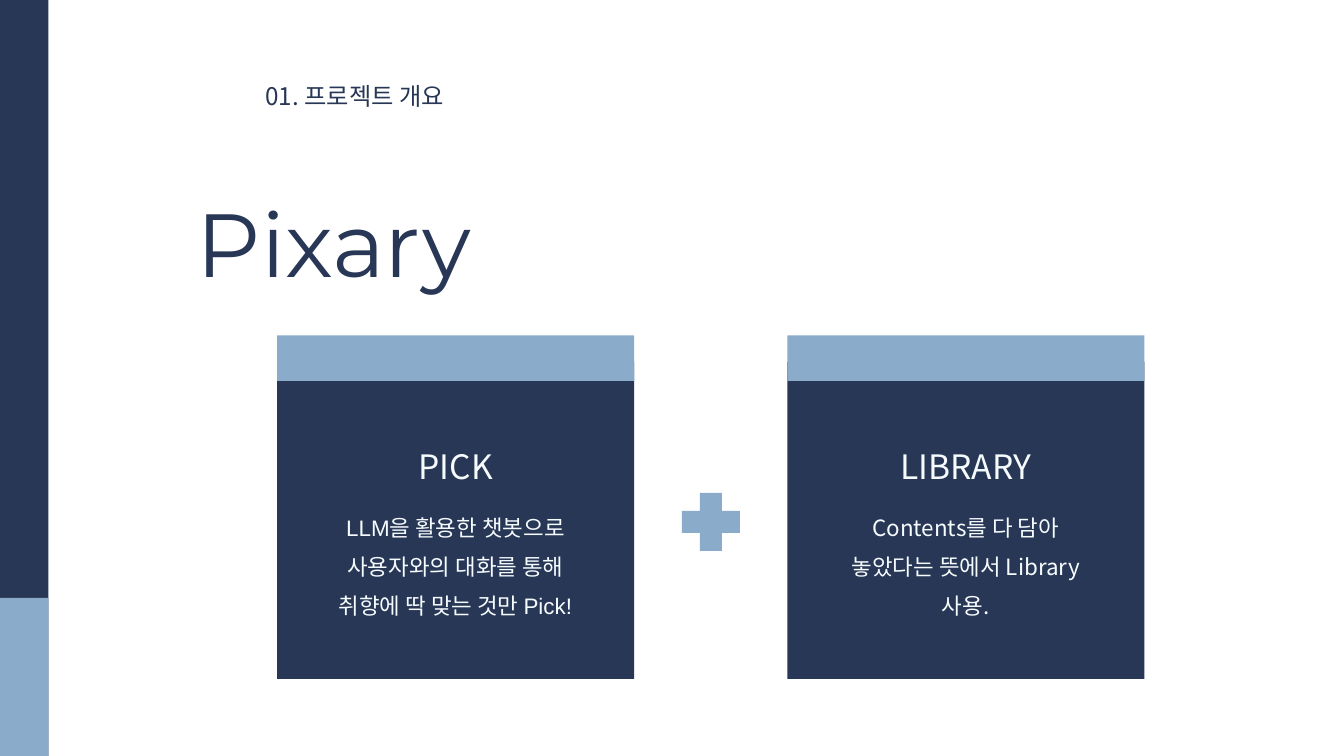
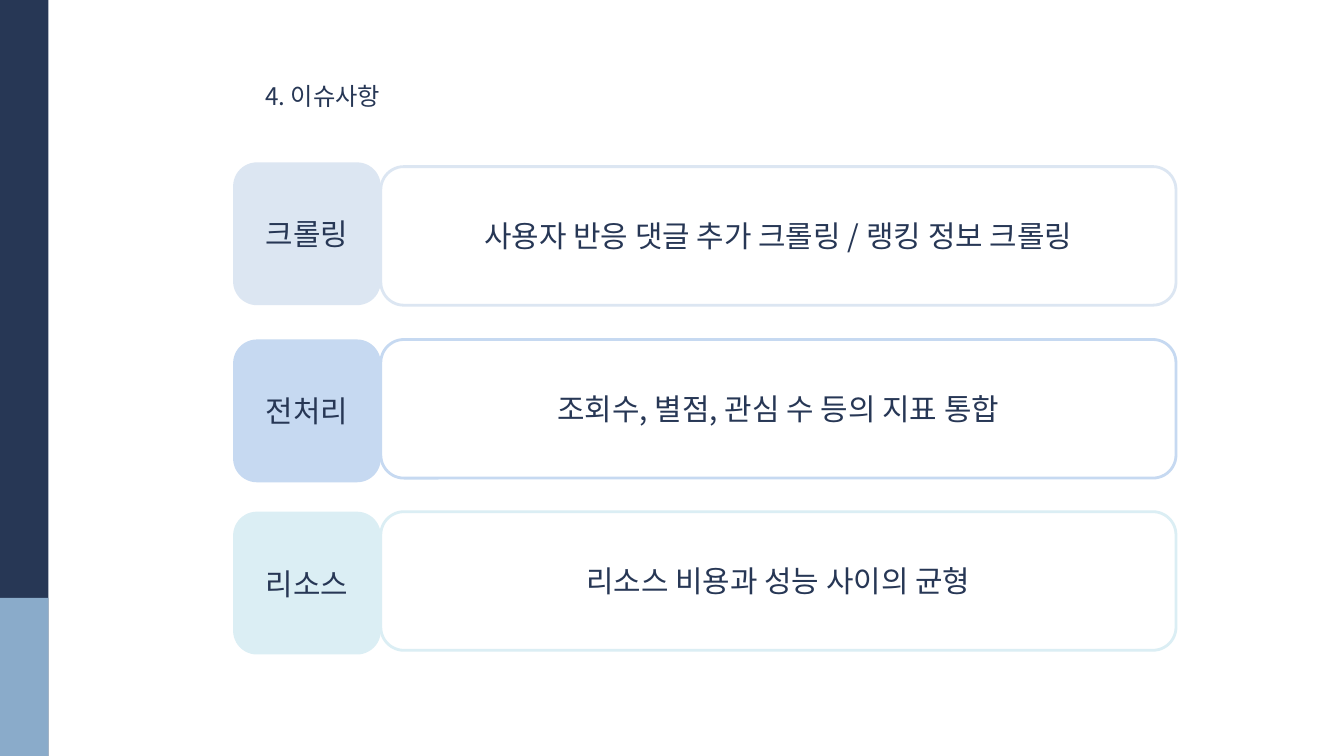
import pptx
import pptx.util
import pptx.dml.color
import pptx.enum.shapes
import pptx.enum.text
import pptx.oxml
import pptx.oxml.ns

Color = pptx.dml.color.RGBColor
Kind = pptx.enum.shapes.MSO_SHAPE
Align = pptx.enum.text.PP_ALIGN
Anchor = pptx.enum.text.MSO_ANCHOR

NAVY = Color(0x27, 0x37, 0x55)
BLUE = Color(0x8A, 0xAB, 0xCA)
WHITE = Color(0xFF, 0xFF, 0xFF)
PALE = Color(0xF6, 0xFB, 0xFE)
MIST = Color(0xDC, 0xE6, 0xF2)
SKY = Color(0xC6, 0xD9, 0xF1)
MINT = Color(0xDB, 0xEE, 0xF4)
SANS = "Noto Sans CJK KR"

SCALE = 9525
WIDE, HIGH = 1920, 1080


def px(*sizes):
    return [pptx.util.Emu(size * SCALE) for size in sizes]


def write(frame, text, size=32, color=NAVY, font=SANS, align=Align.CENTER,
          line=None, anchor=Anchor.TOP, inset=True):
    frame.word_wrap = True
    frame.auto_size = pptx.enum.text.MSO_AUTO_SIZE.NONE
    frame.vertical_anchor = anchor
    if not inset:
        frame.margin_left = frame.margin_right = 0
        frame.margin_top = frame.margin_bottom = 0
    para = frame.paragraphs[0]
    para.alignment = align
    if line:
        para.line_spacing = pptx.util.Pt(line)
    run = para.add_run()
    run.text = text
    run.font.size = pptx.util.Pt(size)
    run.font.color.rgb = color
    run.font.name = font
    east = pptx.oxml.parse_xml(
        f'<a:ea {pptx.oxml.ns.nsdecls("a")} typeface="{SANS}"/>')
    run.font._element.find(pptx.oxml.ns.qn("a:latin")).addnext(east)


def label(slide, box, text, **style):
    area = slide.shapes.add_textbox(*px(*box))
    write(area.text_frame, text, inset=False, **style)


def block(slide, box, fill, kind=Kind.RECTANGLE, edge=None):
    shape = slide.shapes.add_shape(kind, *px(*box))
    shape.shadow.inherit = False
    shape.fill.solid()
    shape.fill.fore_color.rgb = fill
    if edge:
        shape.line.color.rgb = edge
        shape.line.width = pptx.util.Pt(3)
    else:
        shape.line.fill.background()
    return shape


def start(deck, heading):
    slide = deck.slides.add_slide(deck.slide_layouts[5])
    title = slide.shapes.title
    title.left, title.top, title.width, title.height = px(379, 109, 461, 46)
    write(title.text_frame, heading, size=26, align=Align.LEFT, line=36.4,
          inset=False)
    block(slide, (0, 0, 69, HIGH), NAVY)
    block(slide, (0, 854, 69, HIGH - 854), BLUE)
    return slide


def card(slide, left, name, text, font=SANS):
    block(slide, (left, 517, 510, 453), NAVY)
    block(slide, (left, 479, 510, 65), BLUE)
    label(slide, (left, 627, 510, 65), name, size=36, color=PALE, line=50.4)
    label(slide, (left + 66, 717, 377, 165), text, size=24, color=PALE,
          font=font, line=41.8)


def issue(slide, top, drop, tint, name, text):
    tag = block(slide, (333, top, 211, 204), tint, Kind.ROUNDED_RECTANGLE)
    write(tag.text_frame, name, anchor=Anchor.MIDDLE)
    body = block(slide, (544, top + drop, 1136, 198), WHITE,
                 Kind.ROUNDED_RECTANGLE, edge=tint)
    write(body.text_frame, text, anchor=Anchor.MIDDLE)


def intro(deck):
    slide = start(deck, "01. 프로젝트 개요")
    label(slide, (281, 287, 733, 137), "Pixary", size=96, font="Montserrat",
          align=Align.LEFT, line=100.8)
    card(slide, 396, "PICK",
         "LLM을 활용한 챗봇으로 사용자와의 대화를 통해 취향에 딱 맞는 것만 Pick!",
         font="Arial")
    card(slide, 1125, "LIBRARY",
         "Contents를 다 담아 놓았다는 뜻에서 Library 사용.")
    plus = block(slide, (974, 704, 83, 83), BLUE, Kind.CROSS)
    plus.adjustments[0] = 0.31


def issues(deck):
    slide = start(deck, "4. 이슈사항")
    rows = [
        (232, 6, MIST, "크롤링", "사용자 반응 댓글 추가 크롤링 / 랭킹 정보 크롤링"),
        (485, 0, SKY, "전처리", "조회수, 별점, 관심 수 등의 지표 통합"),
        (731, 0, MINT, "리소스", "리소스 비용과 성능 사이의 균형"),
    ]
    for row in rows:
        issue(slide, *row)


def main():
    deck = pptx.Presentation()
    deck.slide_width, deck.slide_height = px(WIDE, HIGH)
    intro(deck)
    issues(deck)
    deck.save("out.pptx")


if __name__ == "__main__":
    main()
